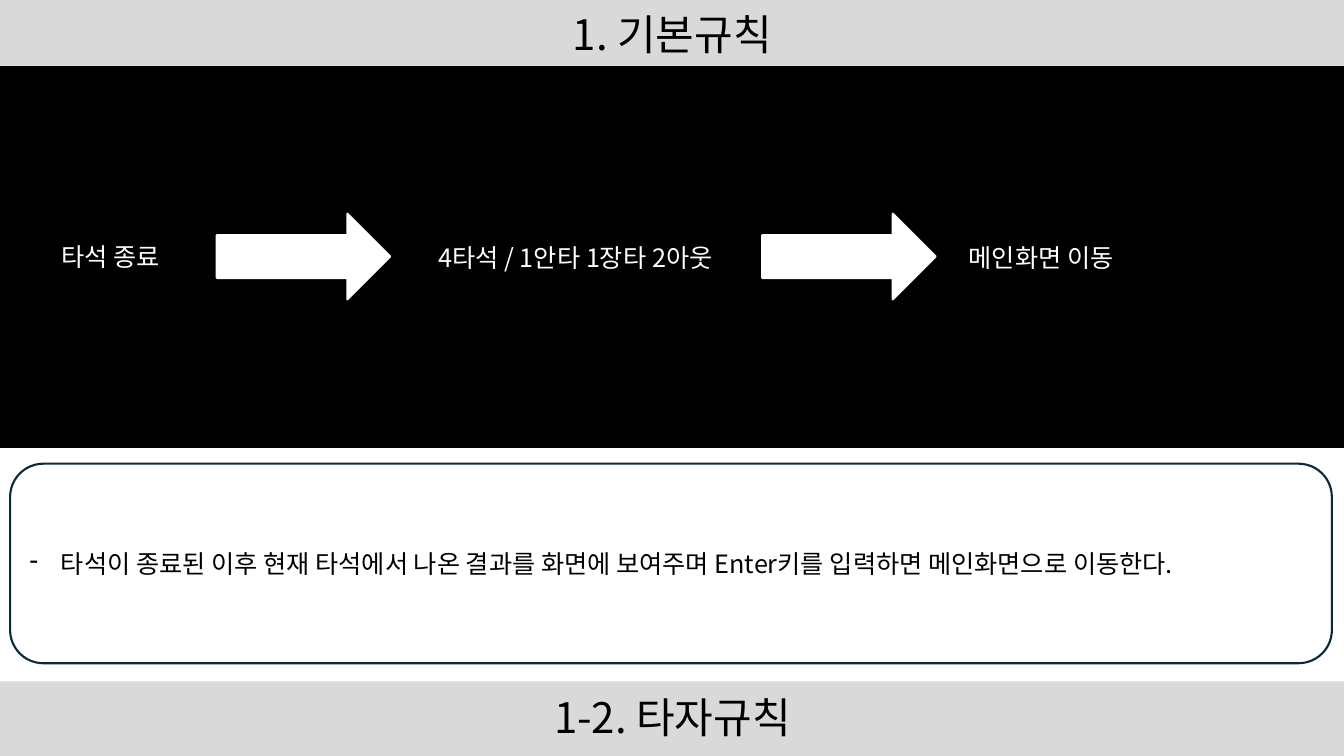
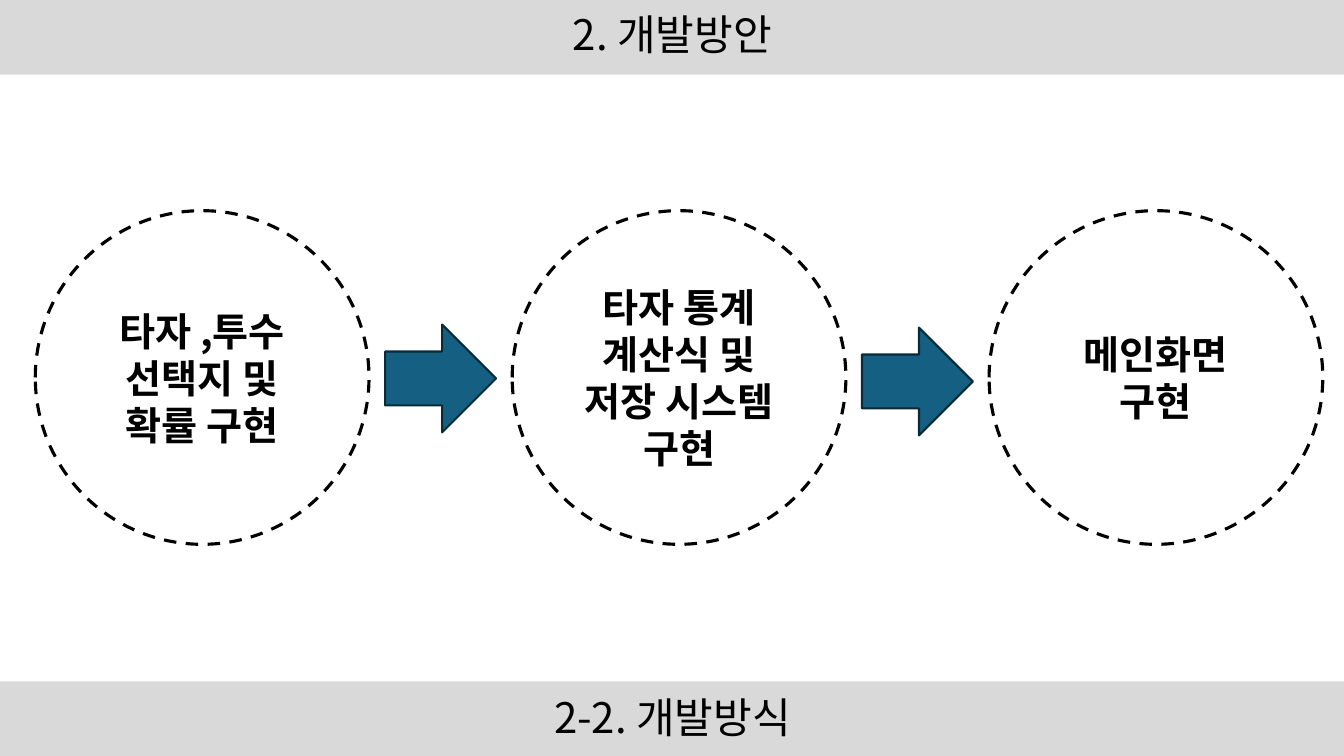
from lxml.etree import SubElement
from pptx import Presentation
from pptx.dml.color import RGBColor
from pptx.enum.dml import MSO_LINE
from pptx.enum.shapes import MSO_SHAPE as SHAPE
from pptx.enum.text import MSO_ANCHOR as ANCHOR, PP_ALIGN as ALIGN
from pptx.oxml.ns import qn
from pptx.util import Pt

PX = 9144  # 100 px to the inch
W, H = 1333, 750
FONT = "Noto Sans CJK KR"
COLORS = {
    "black": "000000",
    "white": "FFFFFF",
    "band": "D9D9D9",
    "blue": "156082",
    "navy": "092A39",
}


def add_shape(s, kind, box, fill, line=None, width=1.5):
    sp = s.shapes.add_shape(kind, *[v * PX for v in box])
    sp.shadow.inherit = False
    sp.fill.solid()
    sp.fill.fore_color.rgb = RGBColor.from_string(COLORS[fill])
    if line:
        sp.line.color.rgb = RGBColor.from_string(COLORS[line])
        sp.line.width = Pt(width)
    else:
        sp.line.fill.background()
    return sp


def add_text(s, text, size, color="black", box=None, sp=None, align=ALIGN.LEFT,
             anchor=ANCHOR.MIDDLE, bold=False, spacing=None):
    """Write text into the shape sp, or into a new text box at box."""
    sp = sp or s.shapes.add_textbox(*[v * PX for v in box])
    tf = sp.text_frame
    tf.word_wrap = True
    tf.vertical_anchor = anchor
    tf.text = text
    for p in tf.paragraphs:
        p.alignment = align
        p.line_spacing = spacing
        for r in p.runs:
            r.font.name = FONT
            r.font.size = Pt(size)
            r.font.bold = bold
            r.font.color.rgb = RGBColor.from_string(COLORS[color])
            SubElement(r.font._element, qn("a:ea"), typeface=FONT)
    return tf


prs = Presentation()
prs.slide_width, prs.slide_height = W * PX, H * PX

# Grey bands with the section title above and the next section below
BAND_H = 74
slides = []
for title, next_title in [("1. 기본규칙", "1-2. 타자규칙"), ("2. 개발방안", "2-2. 개발방식")]:
    s = prs.slides.add_slide(prs.slide_layouts[6])
    for top in (H - BAND_H, 0):
        add_shape(s, SHAPE.RECTANGLE, (0, top, W, BAND_H), "band")
    for text, top, height in [(title, -6, 85), (next_title, 678, 72)]:
        add_text(s, text, 30, box=(92, top, 1150, height), align=ALIGN.CENTER, spacing=0.9)
    slides.append(s)
rules, plan = slides

# Slide 1: screen flow on black, explanation below
add_shape(rules, SHAPE.RECTANGLE, (0, 67, W, 376), "black", "black")
for text, left, top, width in [("타석 종료", 51, 234, 140),
                               ("4타석 / 1안타 1장타 2아웃", 425, 235, 331),
                               ("메인화면 이동", 951, 235, 331)]:
    add_text(rules, text, 18, "white", (left, top, width, 40), anchor=ANCHOR.TOP)
for left in (215, 756):
    add_shape(rules, SHAPE.RIGHT_ARROW, (left, 212, 172, 85), "white", "white")

note = add_shape(rules, SHAPE.ROUNDED_RECTANGLE, (10, 460, 1311, 198), "white", "navy")
tf = add_text(rules, "타석이 종료된 이후 현재 타석에서 나온 결과를 화면에 보여주며 "
              "Enter키를 입력하면 메인화면으로 이동한다.", 18, sp=note)
pPr = tf.paragraphs[0]._p.get_or_add_pPr()
pPr.set("marL", str(31 * PX))
pPr.set("indent", str(-31 * PX))
SubElement(pPr, qn("a:buChar"), char="-")

# Slide 2: three steps in dashed circles, joined by arrows
DIAMETER, STEP = 331, 473
steps = ["타자 ,투수\n선택지 및\n확률 구현", "타자 통계\n계산식 및\n저장 시스템\n구현", "메인화면\n구현"]
for i, text in enumerate(steps):
    circle = add_shape(plan, SHAPE.OVAL, (35 + i * STEP, 209, DIAMETER, DIAMETER),
                       "white", "black", 2.25)
    circle.line.dash_style = MSO_LINE.DASH
    add_text(plan, text, 28, sp=circle, align=ALIGN.CENTER, bold=True)
for i, top in enumerate((322, 325)):
    add_shape(plan, SHAPE.RIGHT_ARROW, (382 + i * STEP, top, 110, 107), "blue", "navy")

prs.save("out.pptx")
